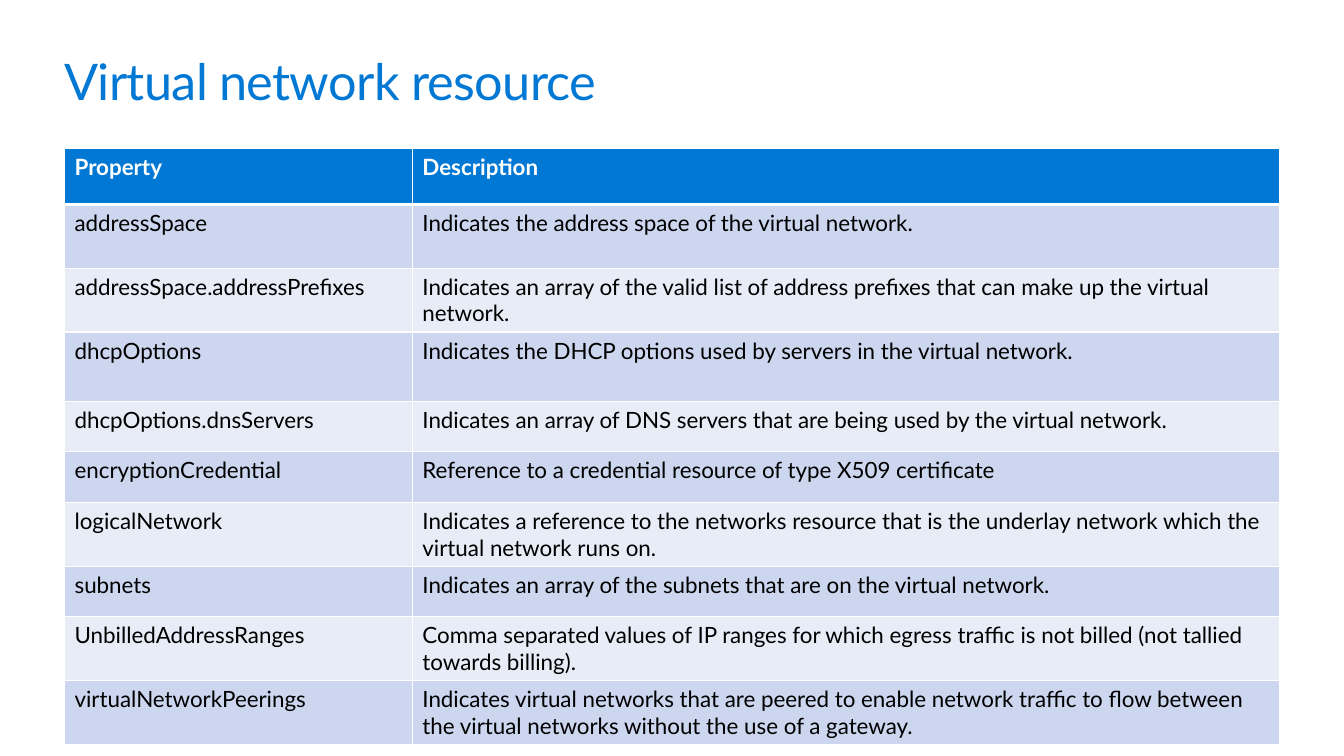
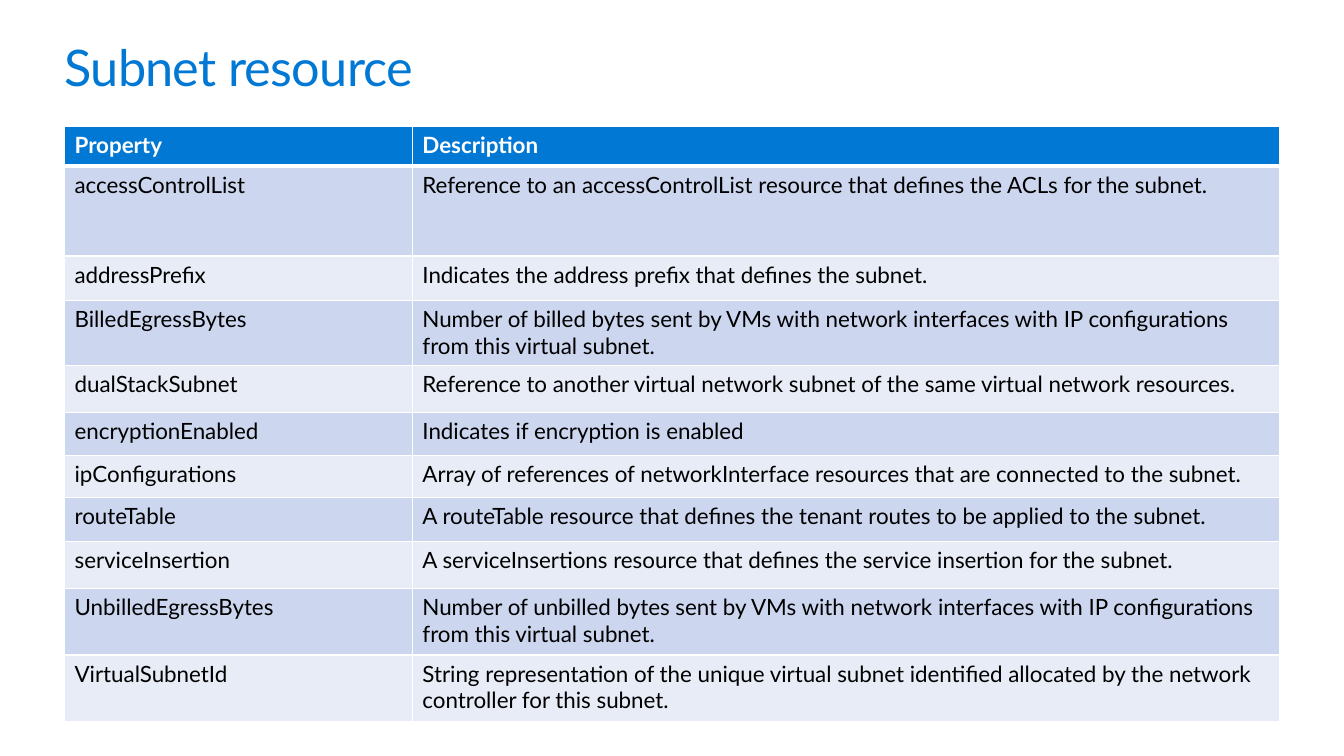
from pptx import Presentation
from pptx.dml.color import RGBColor as RGB
from pptx.enum.text import MSO_ANCHOR as Anchor, MSO_AUTO_SIZE as AutoSize, PP_ALIGN as Align
from pptx.oxml import parse_xml
from pptx.oxml.ns import nsdecls
from pptx.util import Inches, Pt

BLUE = RGB(0x00, 0x78, 0xD4)
WHITE = RGB(0xFF, 0xFF, 0xFF)
BLACK = RGB(0x00, 0x00, 0x00)
BANDS = (RGB(0xE7, 0xEC, 0xF7), RGB(0xCC, 0xD6, 0xEF))
FONT = "Lato"
LEFT, WIDTH, TITLE_HEIGHT = 0.64, 12.05, 0.61
COLUMNS = (3.45, 8.6)
HEADER = ("Property", "Description")
TITLE_FORMAT = {"name": FONT, "size": Pt(36), "bold": False}
CELL_FORMAT = {"name": FONT, "size": Pt(16)}
FRAME_FORMAT = {
    "margin_left": 0, "margin_top": 0, "margin_right": 0, "margin_bottom": 0,
    "word_wrap": True, "vertical_anchor": Anchor.TOP, "auto_size": AutoSize.SHAPE_TO_FIT_TEXT,
}

SLIDES = [
    {
        "title": "Virtual network resource",
        "title_top": 0.5,
        "table_top": 1.47,
        "header_height": 0.56,
        "rows": [
            (0.63, "addressSpace", "Indicates the address space of the virtual network."),
            (0.63, "addressSpace.addressPrefixes",
             "Indicates an array of the valid list of address prefixes that can make up the virtual network."),
            (0.69, "dhcpOptions", "Indicates the DHCP options used by servers in the virtual network."),
            (0.5, "dhcpOptions.dnsServers",
             "Indicates an array of DNS servers that are being used by the virtual network."),
            (0.5, "encryptionCredential", "Reference to a credential resource of type X509 certificate"),
            (0.63, "logicalNetwork",
             "Indicates a reference to the networks resource that is the underlay network "
             "which the virtual network runs on."),
            (0.5, "subnets", "Indicates an array of the subnets that are on the virtual network."),
            (0.63, "UnbilledAddressRanges",
             "Comma separated values of IP ranges for which egress traffic is not billed "
             "(not tallied towards billing)."),
            (0.63, "virtualNetworkPeerings",
             "Indicates virtual networks that are peered to enable network traffic to flow between "
             "the virtual networks without the use of a gateway."),
        ],
    },
    {
        "title": "Subnet resource",
        "title_top": 0.36,
        "table_top": 1.25,
        "header_height": 0.4,
        "rows": [
            (0.89, "accessControlList",
             "Reference to an accessControlList resource that defines the ACLs for the subnet."),
            (0.44, "addressPrefix", "Indicates the address prefix that defines the subnet."),
            (0.65, "BilledEgressBytes",
             "Number of billed bytes sent by VMs with network interfaces with IP configurations "
             "from this virtual subnet."),
            (0.46, "dualStackSubnet",
             "Reference to another virtual network subnet of the same virtual network resources."),
            (0.43, "encryptionEnabled", "Indicates if encryption is enabled"),
            (0.42, "ipConfigurations",
             "Array of references of networkInterface resources that are connected to the subnet."),
            (0.43, "routeTable",
             "A routeTable resource that defines the tenant routes to be applied to the subnet."),
            (0.47, "serviceInsertion",
             "A serviceInsertions resource that defines the service insertion for the subnet."),
            (0.66, "UnbilledEgressBytes",
             "Number of unbilled bytes sent by VMs with network interfaces with IP configurations "
             "from this virtual subnet."),
            (0.66, "VirtualSubnetId",
             "String representation of the unique virtual subnet identified allocated by the network "
             "controller for this subnet."),
        ],
    },
]


def apply_format(target, values):
    for name, value in values.items():
        setattr(target, name, value)


def add_span(para, text, values, color):
    span = para.add_run()
    span.text = text
    apply_format(span.font, values)
    span.font.color.rgb = color
    return span


def set_title(page, text, top):
    title = page.shapes.title
    apply_format(title, {"left": Inches(LEFT), "top": Inches(top),
                         "width": Inches(WIDTH), "height": Inches(TITLE_HEIGHT)})
    apply_format(title.text_frame, FRAME_FORMAT)
    para = title.text_frame.paragraphs[0]
    para.alignment = Align.LEFT
    span = add_span(para, text, TITLE_FORMAT, BLUE)
    span.font._element.set("spc", "-50")


def set_borders(cell, row_index):
    widths = {"L": 1, "R": 1, "T": 3 if row_index == 1 else 1, "B": 3 if row_index == 0 else 1}
    properties = cell._tc.get_or_add_tcPr()
    for side, width in widths.items():
        properties.append(parse_xml(
            f'<a:ln{side} {nsdecls("a")} w="{Pt(width)}"><a:solidFill>'
            f'<a:srgbClr val="{WHITE}"/></a:solidFill></a:ln{side}>'))


def fill_cell(cell, text, row_index):
    is_header = row_index == 0
    set_borders(cell, row_index)
    cell.fill.solid()
    cell.fill.fore_color.rgb = BLUE if is_header else BANDS[row_index % 2]
    add_span(cell.text_frame.paragraphs[0], text,
             {**CELL_FORMAT, "bold": is_header}, WHITE if is_header else BLACK)


def add_property_table(page, content):
    rows = [(content["header_height"], *HEADER), *content["rows"]]
    height = sum(row[0] for row in rows)
    table = page.shapes.add_table(len(rows), len(COLUMNS), Inches(LEFT), Inches(content["table_top"]),
                                  Inches(WIDTH), Inches(height)).table
    for column, width in zip(table.columns, COLUMNS):
        column.width = Inches(width)
    for row_index, (row_height, *texts) in enumerate(rows):
        table.rows[row_index].height = Inches(row_height)
        for column_index, text in enumerate(texts):
            fill_cell(table.cell(row_index, column_index), text, row_index)


def main():
    deck = Presentation()
    deck.slide_width, deck.slide_height = Inches(13.33), Inches(7.5)
    for content in SLIDES:
        page = deck.slides.add_slide(deck.slide_layouts[5])
        set_title(page, content["title"], content["title_top"])
        add_property_table(page, content)
    deck.save("out.pptx")


if __name__ == "__main__":
    main()
